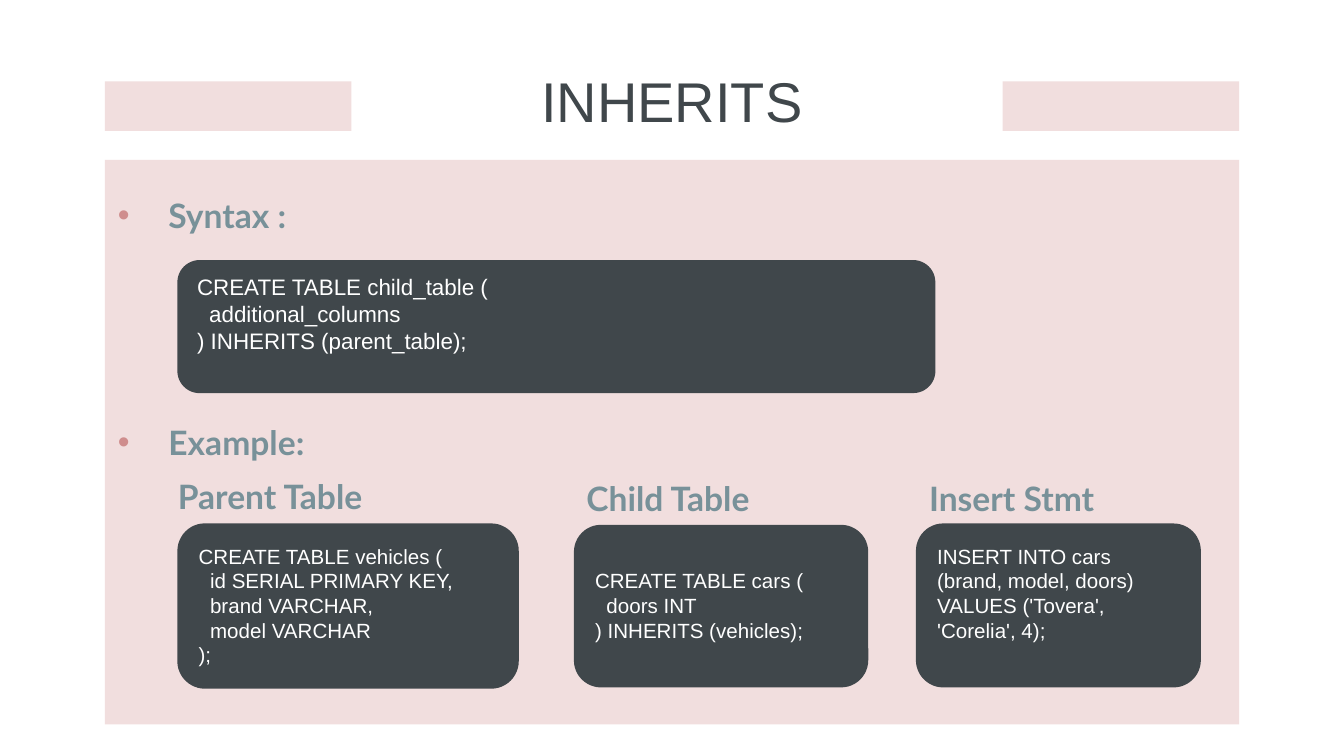
from pptx import Presentation
from pptx.dml.color import RGBColor
from pptx.enum.shapes import MSO_SHAPE
from pptx.enum.text import MSO_ANCHOR, PP_ALIGN
from pptx.oxml import parse_xml
from pptx.oxml.ns import nsdecls
from pptx.util import Pt

PX = 4572
RECT = MSO_SHAPE.RECTANGLE
ROUND = MSO_SHAPE.ROUNDED_RECTANGLE
TOP, BOTTOM = MSO_ANCHOR.TOP, MSO_ANCHOR.BOTTOM
LEFT, CENTER = PP_ALIGN.LEFT, PP_ALIGN.CENTER
PINK, ROSE, SLATE, TEAL, WHITE = "F1DEDE", "CF8D8D", "40474B", "789199", "FFFFFF"

SYNTAX = [("CREATE TABLE child_table (", 0), ("additional_columns", 18),
          (") INHERITS (parent_table);", 0)]
PARENT = [("CREATE TABLE vehicles (", 0), ("id SERIAL PRIMARY KEY,", 17),
          ("brand VARCHAR,", 17), ("model VARCHAR", 17), (");", 0)]
CHILD = [("CREATE TABLE cars (", 0), ("doors INT", 17), (") INHERITS (vehicles);", 0)]
INSERT = [("INSERT INTO cars (brand, model, doors)", 0),
          ("VALUES ('Tovera', 'Corelia', 4);", 0)]


def emu(box):
    """Turn a box in px into EMU lengths."""
    return [length * PX for length in box]


def color(value):
    """Return the colour for a hex string."""
    return RGBColor.from_string(value)


def add_block(page, box, fill, kind=RECT):
    """Add a plain filled shape."""
    block = page.shapes.add_shape(kind, *emu(box))
    block.shadow.inherit = False
    block.fill.solid()
    block.fill.fore_color.rgb = color(fill)
    block.line.fill.background()
    return block


def set_frame(frame, anchor, top, bottom):
    """Set wrapping, anchor and insets of a text frame."""
    frame.word_wrap = True
    frame.vertical_anchor = anchor
    frame.margin_left = frame.margin_right = 20 * PX
    frame.margin_top, frame.margin_bottom = top * PX, bottom * PX


def add_span(para, text, size, font, fill, bold=False, align=LEFT):
    """Add one run of styled text to a paragraph."""
    para.alignment = align
    span = para.add_run()
    span.text = text
    span.font.size = Pt(size)
    span.font.name = font
    span.font.bold = bold
    span.font.color.rgb = color(fill)


def add_title(page, box, text):
    """Add the centred title with a bar at each side."""
    left, top, width, height = box
    holder = page.shapes.add_textbox(*emu(box))
    set_frame(holder.text_frame, BOTTOM, 20, 20)
    add_span(holder.text_frame.paragraphs[0], text, 30, "Arial", SLATE, align=CENTER)
    add_block(page, (left, top + 20, 367, 74), PINK)
    add_block(page, (left + width - 352, top + 20, 352, 74), PINK)


def add_heading(page, box, text, bullet=False):
    """Add a bold heading, with a bullet if asked."""
    holder = page.shapes.add_textbox(*emu(box))
    set_frame(holder.text_frame, TOP, 10, 10)
    para = holder.text_frame.paragraphs[0]
    add_span(para, text, 18, "Lato", TEAL, bold=True)
    if bullet:
        props = para._p.get_or_add_pPr()
        props.set("marL", str(75 * PX))
        props.set("indent", str(-75 * PX))
        space = nsdecls("a")
        for mark in (f'<a:buClr {space}><a:srgbClr val="{ROSE}"/></a:buClr>',
                     f'<a:buFont {space} typeface="Arial"/>',
                     f'<a:buChar {space} char="•"/>'):
            props.append(parse_xml(mark))


def add_code(page, box, lines, size, top):
    """Add a dark rounded panel with indented lines of code."""
    panel = add_block(page, box, SLATE, ROUND)
    frame = panel.text_frame
    set_frame(frame, TOP, top, 0)
    for number, (text, indent) in enumerate(lines):
        para = frame.add_paragraph() if number else frame.paragraphs[0]
        para._p.get_or_add_pPr().set("marL", str(indent * PX))
        add_span(para, text, size, "Arial", WHITE)


def add_body(page, box):
    """Add the pink body with the syntax and the three examples."""
    left, top = box[:2]
    add_block(page, box, PINK)
    add_heading(page, (left, top + 42, 1000, 80), "Syntax :", bullet=True)
    add_code(page, (left + 108, top + 149, 1128, 198), SYNTAX, 12, 10)
    add_heading(page, (left, top + 380, 1000, 80), "Example:", bullet=True)
    examples = [
        ("Parent Table", (89, 460, 476, 80), PARENT, (108, 541, 508, 246), 18),
        ("Child Table", (697, 463, 372, 80), CHILD, (698, 543, 438, 242), 53),
        ("Insert Stmt", (1207, 463, 372, 80), INSERT, (1207, 541, 424, 244), 18),
    ]
    for name, label, lines, panel, inset in examples:
        add_heading(page, (left + label[0], top + label[1], *label[2:]), name)
        add_code(page, (left + panel[0], top + panel[1], *panel[2:]), lines, 11, inset)


def main():
    """Build the slide and save it."""
    deck = Presentation()
    deck.slide_width, deck.slide_height = emu((2000, 1125))
    page = deck.slides.add_slide(deck.slide_layouts[6])
    add_title(page, (156, 101, 1688, 118), "INHERITS")
    add_body(page, (156, 238, 1688, 840))
    deck.save("out.pptx")


if __name__ == "__main__":
    main()
